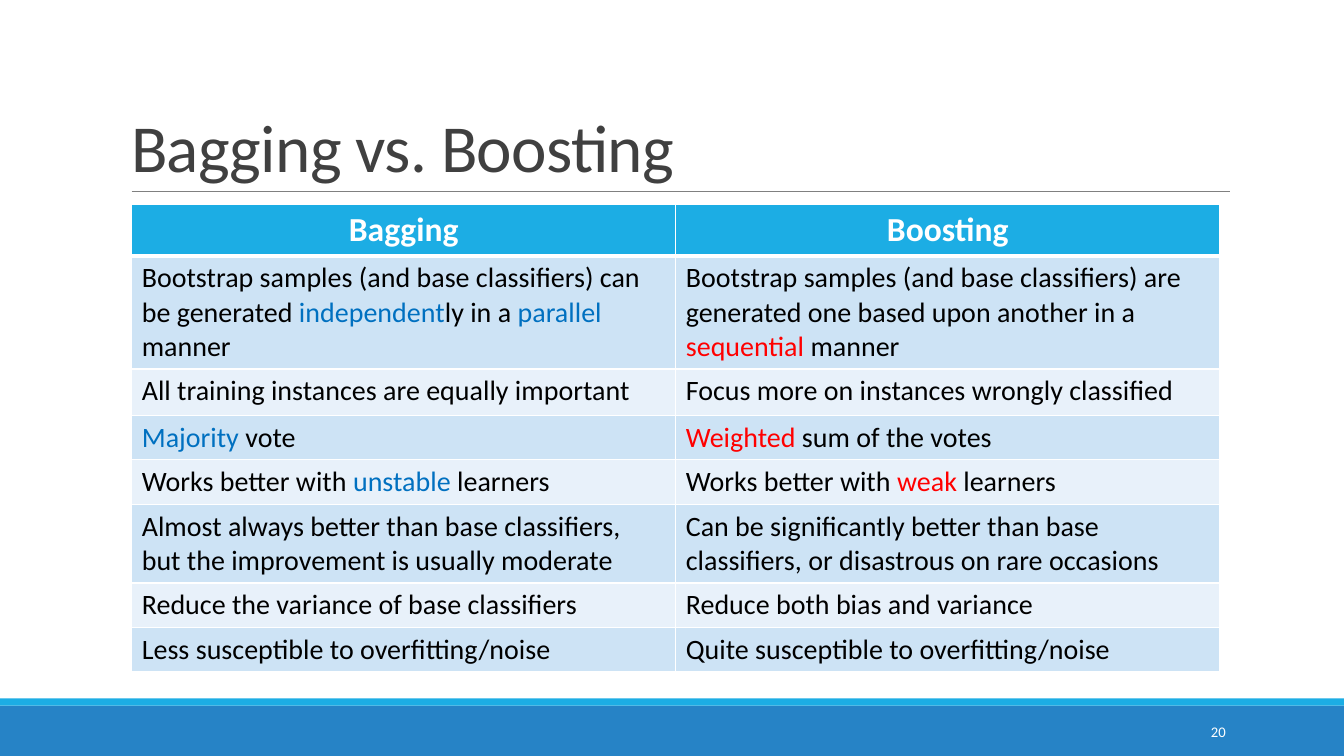
from lxml.etree import SubElement
from pptx import Presentation
from pptx.dml.color import RGBColor
from pptx.enum.shapes import MSO_CONNECTOR, MSO_SHAPE
from pptx.enum.text import MSO_ANCHOR, MSO_AUTO_SIZE, PP_ALIGN
from pptx.oxml.ns import qn
from pptx.util import Cm, Pt

HUES = {
    "white": "FFFFFF", "black": "000000", "title": "404040", "rule": "808080",
    "foot": "2683C6", "head": "1CADE4", "dark": "CDE3F5", "light": "E8F1FA",
    "blue": "0070C0", "red": "FF0000",
}
FONTS = {
    "title": {"name": "Calibri", "size": Pt(48), "bold": False},
    "head": {"name": "Calibri", "size": Pt(24), "bold": True},
    "body": {"name": "Calibri", "size": Pt(20), "bold": False},
    "page": {"name": "Calibri", "size": Pt(10.5), "bold": False},
}
HEADS = ("Bagging", "Boosting")
# Height in cm, then both cells; accented words stand between asterisks.
ROWS = (
    (2.84, "Bootstrap samples (and base classifiers) can be generated "
           "*independent*ly in a *parallel* manner",
     "Bootstrap samples (and base classifiers) are generated one based "
     "upon another in a *sequential* manner"),
    (1.17, "All training instances are equally important",
     "Focus more on instances wrongly classified"),
    (1.12, "*Majority* vote", "*Weighted* sum of the votes"),
    (1.12, "Works better with *unstable* learners",
     "Works better with *weak* learners"),
    (1.98, "Almost always better than base classifiers, "
           "but the improvement is usually moderate",
     "Can be significantly better than base classifiers, "
     "or disastrous on rare occasions"),
    (1.12, "Reduce the variance of base classifiers",
     "Reduce both bias and variance"),
    (1.12, "Less susceptible to overfitting/noise",
     "Quite susceptible to overfitting/noise"),
)
HEAD_HIGH = 1.29


def paint(fmt, hue):
    fmt.solid()
    fmt.fore_color.rgb = RGBColor.from_string(HUES[hue])


def add_run(para, text, kind, hue):
    run = para.add_run()
    run.text = text
    for key, val in FONTS[kind].items():
        setattr(run.font, key, val)
    paint(run.font.fill, hue)
    return run


def add_band(slide, top, high, hue):
    band = slide.shapes.add_shape(
        MSO_SHAPE.RECTANGLE, 0, Cm(top), Cm(33.87), Cm(high))
    band.shadow.inherit = False
    paint(band.fill, hue)
    band.line.fill.background()


def add_rule(slide, left, right, top):
    rule = slide.shapes.add_connector(
        MSO_CONNECTOR.STRAIGHT, Cm(left), Cm(top), Cm(right), Cm(top))
    paint(rule.line.fill, "rule")
    rule.line.width = Pt(0.5)
    SubElement(rule._element.spPr, qn("a:effectLst"))


def set_title(slide, text):
    title = slide.shapes.title
    place = {"left": 3.05, "top": 0.79, "width": 27.94, "height": 4.04}
    for key, val in place.items():
        setattr(title, key, Cm(val))
    frame = title.text_frame
    frame.auto_size = MSO_AUTO_SIZE.NONE
    frame.vertical_anchor = MSO_ANCHOR.BOTTOM
    para = frame.paragraphs[0]
    para.alignment = PP_ALIGN.LEFT
    para.line_spacing = 0.85
    run = add_run(para, text, "title", "title")
    run.font._element.set("spc", "-50")


def add_edges(cell, top, low):
    """Draw white cell borders; top and low are widths in points."""
    props = cell._tc.get_or_add_tcPr()
    for side, width in (("L", 1), ("R", 1), ("T", top), ("B", low)):
        edge = SubElement(props, qn(f"a:ln{side}"), w=str(Pt(width)))
        fill = SubElement(edge, qn("a:solidFill"))
        SubElement(fill, qn("a:srgbClr"), val=HUES["white"])


def fill_head(cell, text):
    add_edges(cell, 1, 3)
    paint(cell.fill, "head")
    para = cell.text_frame.paragraphs[0]
    para.alignment = PP_ALIGN.CENTER
    add_run(para, text, "head", "white")


def fill_cell(cell, text, row, accent):
    add_edges(cell, 3 if row == 1 else 1, 1)
    paint(cell.fill, "dark" if row % 2 else "light")
    para = cell.text_frame.paragraphs[0]
    for i, part in enumerate(text.split("*")):
        if part:
            add_run(para, part, "body", accent if i % 2 else "black")


def add_grid(slide):
    highs = [HEAD_HIGH] + [row[0] for row in ROWS]
    table = slide.shapes.add_table(
        len(highs), len(HEADS), Cm(3.32), Cm(5.16),
        Cm(27.42), Cm(sum(highs))).table
    for row, high in zip(table.rows, highs):
        row.height = Cm(high)
    for col, accent in enumerate(("blue", "red")):
        fill_head(table.cell(0, col), HEADS[col])
        for row, (_, *texts) in enumerate(ROWS, 1):
            fill_cell(table.cell(row, col), texts[col], row, accent)


def add_page(slide, text):
    box = slide.shapes.add_textbox(Cm(27.51), Cm(17.93), Cm(3.63), Cm(1.02))
    frame = box.text_frame
    frame.word_wrap = True
    frame.vertical_anchor = MSO_ANCHOR.MIDDLE
    para = frame.paragraphs[0]
    para.alignment = PP_ALIGN.RIGHT
    add_run(para, text, "page", "white")


def main():
    deck = Presentation()
    deck.slide_width, deck.slide_height = Cm(33.87), Cm(19.05)
    slide = deck.slides.add_slide(deck.slide_layouts[5])
    add_band(slide, 17.78, 1.27, "foot")
    add_band(slide, 17.6, 0.18, "head")
    add_rule(slide, 3.32, 31, 4.83)
    set_title(slide, "Bagging vs. Boosting")
    add_grid(slide)
    add_page(slide, "20")
    deck.save("out.pptx")


if __name__ == "__main__":
    main()
